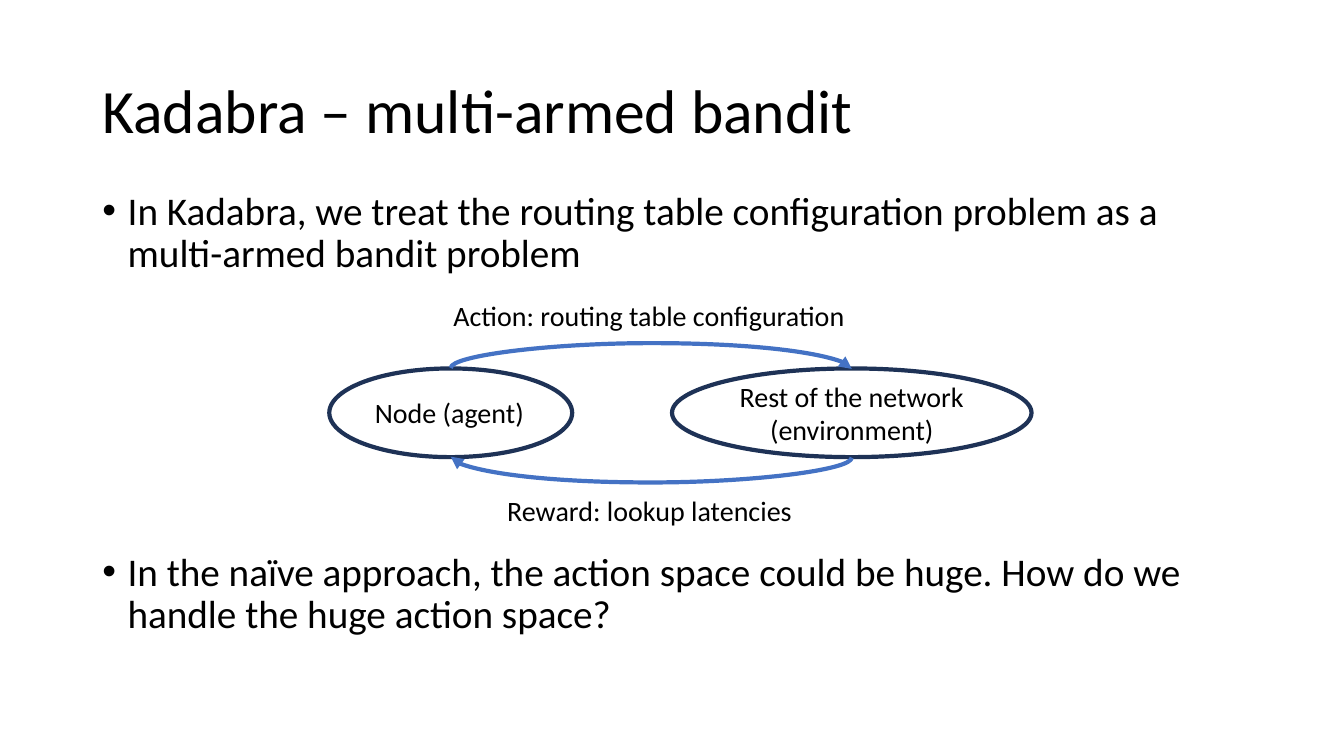
from lxml.etree import SubElement
from pptx import Presentation
from pptx.dml.color import RGBColor
from pptx.enum.shapes import MSO_CONNECTOR as Connector, MSO_SHAPE as Shape
from pptx.enum.text import MSO_ANCHOR as Anchor, MSO_AUTO_SIZE as AutoSize, PP_ALIGN as Align
from pptx.oxml.ns import qn
from pptx.util import Inches, Pt

WIDTH, HEIGHT = Inches(13.333), Inches(7.5)
COLUMN, ROW = WIDTH / 40, HEIGHT / 30
MARGIN, CONTENT = 2.75, 34.5  # columns
BLACK, NAVY, BLUE = "000000", "1E3256", "4472C4"


def color(hex_code):
    return RGBColor.from_string(hex_code)


def grid(left, top, width, height):
    """Turn columns and rows into lengths."""
    return (round(left * COLUMN), round(top * ROW),
            round(width * COLUMN), round(height * ROW))


def place(shape, box):
    shape.left, shape.top, shape.width, shape.height = grid(*box)


def write(shape, text, size=20, align=Align.LEFT, anchor=Anchor.TOP,
          spacing=None, bullet=False, wrap=True, fit=AutoSize.NONE):
    frame = shape.text_frame
    frame.word_wrap, frame.auto_size, frame.vertical_anchor = wrap, fit, anchor
    paragraph = frame.paragraphs[0]
    paragraph.text = text
    paragraph.alignment = align
    paragraph.line_spacing = spacing
    paragraph.space_before = Pt(0)
    if bullet:
        properties = paragraph._p.get_or_add_pPr()
        properties.set("marL", str(Inches(0.25)))
        properties.set("indent", str(-Inches(0.25)))
        SubElement(properties, qn("a:buFont"), typeface="Arial")
        SubElement(properties, qn("a:buChar"), char="•")
    font = paragraph.runs[0].font
    font.name, font.size = "Calibri", Pt(size)
    font.color.rgb = color(BLACK)


def add_text(slide, text, box, **text_format):
    shape = slide.shapes.add_textbox(*grid(*box))
    write(shape, text, fit=AutoSize.SHAPE_TO_FIT_TEXT, **text_format)


def add_ellipse(slide, text, box, align):
    ellipse = slide.shapes.add_shape(Shape.OVAL, *grid(*box))
    ellipse.shadow.inherit = False
    ellipse.fill.background()
    ellipse.line.color.rgb = color(NAVY)
    ellipse.line.width = Pt(3)
    write(ellipse, text, align=align, anchor=Anchor.MIDDLE)
    return ellipse


def add_curve(slide, first, second, y, rotation):
    """Arc between two ellipses, bulging one row; drawn upright, then turned."""
    starts = [shape.left + shape.width // 2 for shape in (first, second)]
    middle, half_span = sum(starts) // 2, abs(starts[1] - starts[0]) // 2
    half_depth = Inches(0.01) // 2
    curve = slide.shapes.add_connector(
        Connector.CURVE, middle + half_depth, y - half_span,
        middle - half_depth, y + half_span)
    curve.line.color.rgb = color(BLUE)
    curve.line.width = Pt(3)
    properties = curve._element.spPr
    properties.find(qn("a:xfrm")).set("rot", str(rotation * 60000))
    adjustments = properties.find(qn("a:prstGeom")).get_or_add_avLst()
    bulge = round(-ROW / (2 * half_depth) * 100000)
    SubElement(adjustments, qn("a:gd"), name="adj1", fmla=f"val {bulge}")
    SubElement(curve.line._get_or_add_ln(), qn("a:tailEnd"), type="triangle")
    SubElement(properties, qn("a:effectLst"))


def main():
    presentation = Presentation()
    presentation.slide_width, presentation.slide_height = WIDTH, HEIGHT
    slide = presentation.slides.add_slide(presentation.slide_layouts[1])

    # Title and first point
    title, body = slide.placeholders
    place(title, (MARGIN, 1.6, CONTENT, 5.8))
    write(title, "Kadabra – multi-armed bandit", size=44, spacing=0.9,
          anchor=Anchor.MIDDLE)
    place(body, (MARGIN, 7.4, CONTENT, 4.24))
    point = {"size": 28, "spacing": 0.9, "bullet": True}
    write(body, "In Kadabra, we treat the routing table configuration problem "
          "as a multi-armed bandit problem", **point)

    # Agent and environment loop
    agent = add_ellipse(slide, "Node (agent)", (9.8, 14.62, 7.23, 3.52), Align.LEFT)
    network = add_ellipse(slide, "Rest of the network (environment)",
                          (20, 14.62, 10.7, 3.52), Align.CENTER)
    add_curve(slide, agent, network, agent.top, 270)
    add_curve(slide, network, agent, agent.top + agent.height, 90)
    add_text(slide, "Action: routing table configuration",
             (13.2, 11.64, 12.4, 1.76), wrap=False)
    add_text(slide, "Reward: lookup latencies",
             (14.8, 19.4, 9.15, 1.76), wrap=False)

    # Closing point
    add_text(slide, "In the naïve approach, the action space could be huge. "
             "How do we handle the huge action space?",
             (MARGIN, 21.72, CONTENT, 3.8), **point)
    presentation.save("out.pptx")


if __name__ == "__main__":
    main()
